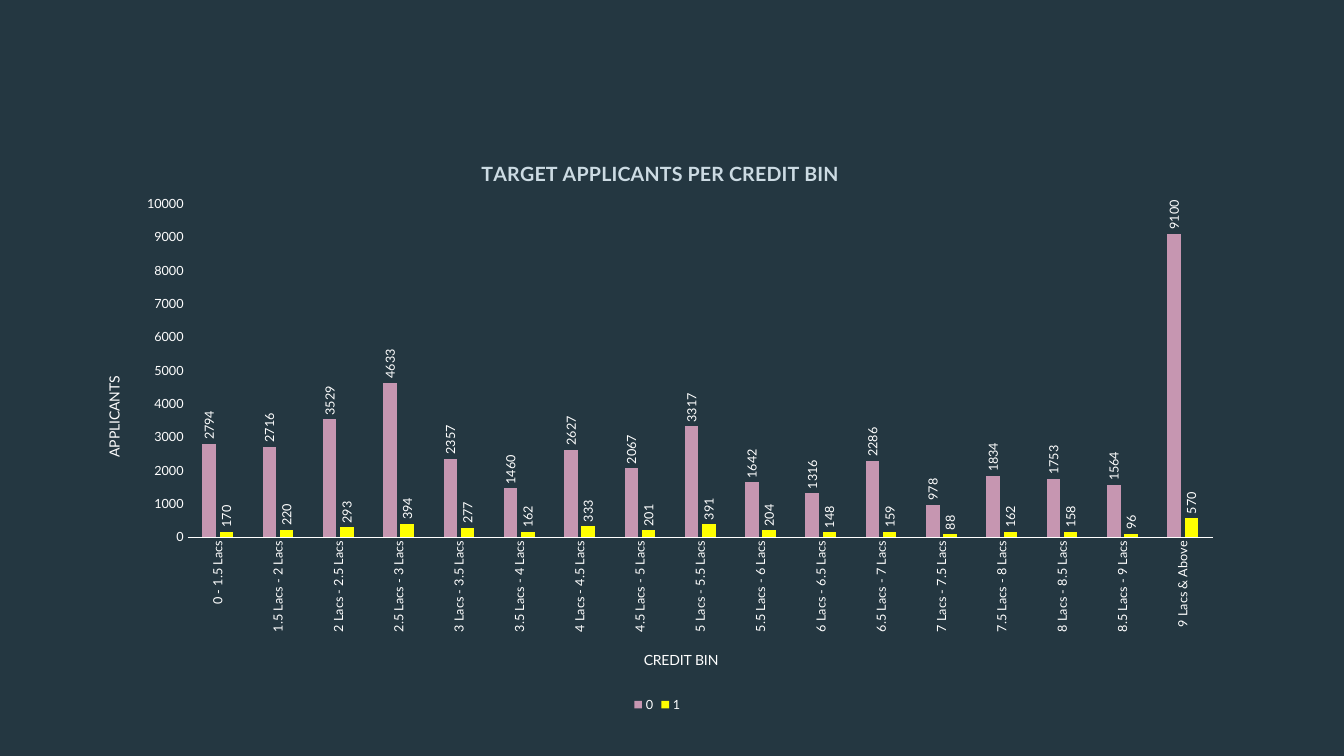
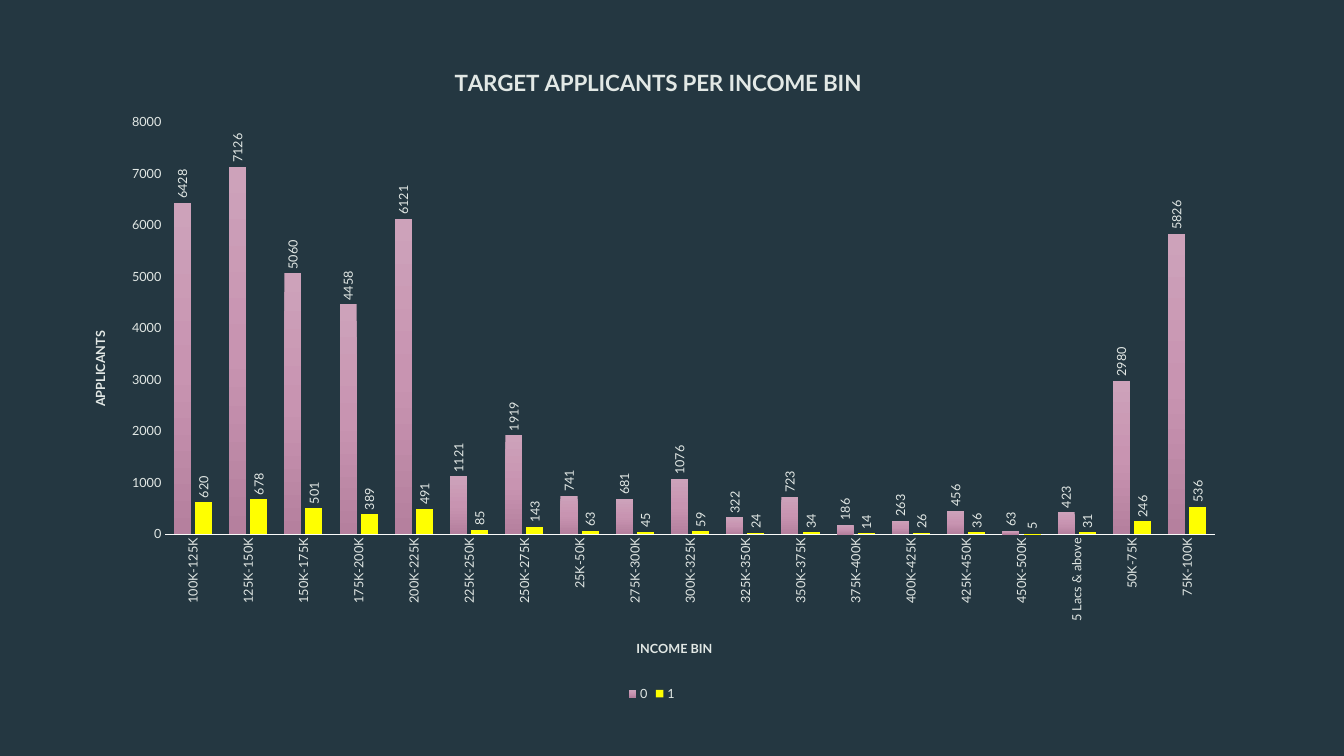
import copy

import lxml.etree
import pptx
import pptx.util
import pptx.chart.data
import pptx.dml.color
import pptx.enum.chart
import pptx.oxml.ns

RGB = pptx.dml.color.RGBColor
Inches = pptx.util.Inches
Pt = pptx.util.Pt
qn = pptx.oxml.ns.qn

# Shared look
BACK = RGB(0x24, 0x37, 0x41)
WHITE = RGB(0xFF, 0xFF, 0xFF)
PALE = RGB(0xE2, 0xE8, 0xE5)
MIST = RGB(0xCC, 0xDB, 0xE3)
FROST = RGB(0xFB, 0xFC, 0xFB)
PINK = RGB(0xC6, 0x96, 0xB1)
YELLOW = RGB(0xFF, 0xFF, 0x00)
SHADES = [RGB(0xCD, 0xA2, 0xBA), RGB(0xC8, 0x94, 0xB1), RGB(0xB5, 0x80, 0x9E)]
FACE = "Lato"


def style(font, size=9, color=WHITE, bold=False):
    font.name = FACE
    font.size = Pt(size)
    font.bold = bold
    font.color.rgb = color


def write(frame, text, **form):
    frame.text = text
    style(frame.paragraphs[0].runs[0].font, **form)


def turn(node):
    """Make the text in a chart part read upwards."""
    for body in node.iter(qn("a:bodyPr")):
        body.set("rot", "-5400000")
        body.set("vert", "horz")


def place(node, box, x, y, w=None, h=None):
    """Put a chart part at x, y inches from the corner of the chart box."""
    for old in node.findall(qn("c:layout")):
        node.remove(old)
    layout = lxml.etree.Element(qn("c:layout"))
    man = lxml.etree.SubElement(layout, qn("c:manualLayout"))
    parts = [("xMode", "edge"), ("yMode", "edge"),
             ("x", x / box[2]), ("y", y / box[3])]
    if w:
        parts.insert(0, ("layoutTarget", "inner"))
        parts += [("w", w / box[2]), ("h", h / box[3])]
    for name, val in parts:
        lxml.etree.SubElement(man, qn("c:" + name)).set("val", str(val))
    text = node.find(qn("c:tx"))
    node.insert(0 if text is None else 1, layout)


def blend(ser, shades):
    """Fill a series with evenly spaced shades from top to bottom."""
    fill = ser.format.fill
    fill.gradient()
    fill.gradient_angle = 270
    stops = next(ser._element.iter(qn("a:gsLst")))
    while len(stops) < len(shades):
        stops.append(copy.deepcopy(stops[0]))
    for i, (stop, shade) in enumerate(zip(fill.gradient_stops, shades)):
        stop.position = i / (len(shades) - 1)
        stop.color.rgb = shade


def name_axis(axis, text, box, spot, form):
    axis.has_title = True
    write(axis.axis_title.text_frame, text, **form)
    place(axis.axis_title._element, box, *spot)


def bar_slide(deck, box, title, bins, rows, spots, top, ink, line,
              head, name, gap, lap, fill):
    slide = deck.slides.add_slide(deck.slide_layouts[6])
    data = pptx.chart.data.CategoryChartData()
    data.categories = bins
    for key, row in zip("01", rows):
        data.add_series(key, row)
    kind = pptx.enum.chart.XL_CHART_TYPE.COLUMN_CLUSTERED
    chart = slide.shapes.add_chart(kind, *map(Inches, box), data).chart
    style(chart.font, size=10)

    # Title and plot area
    chart.has_title = True
    write(chart.chart_title.text_frame, title, **head)
    chart.chart_title.include_in_layout = False
    place(chart.chart_title._element, box, *spots["title"])
    place(chart._chartSpace.chart.plotArea, box, *spots["plot"])

    # Axes
    cat, val = chart.category_axis, chart.value_axis
    for axis in (cat, val):
        axis.has_major_gridlines = False
        axis.major_tick_mark = pptx.enum.chart.XL_TICK_MARK.NONE
        axis.minor_tick_mark = pptx.enum.chart.XL_TICK_MARK.NONE
        style(axis.tick_labels.font, color=ink)
    turn(cat._element.find(qn("c:txPr")))
    cat.format.line.color.rgb = line
    cat.format.line.width = Pt(0.75)
    val.format.line.fill.background()
    val.minimum_scale, val.maximum_scale, val.major_unit = 0, top, 1000
    name_axis(cat, "CREDIT BIN" if "CREDIT" in title else "INCOME BIN",
              box, spots["cat"], name)
    name_axis(val, "APPLICANTS", box, spots["val"], name)
    turn(val.axis_title._element)

    # Columns and their labels
    plot = chart.plots[0]
    plot.vary_by_categories = False
    plot.gap_width, plot.overlap = gap, lap
    for ser, paint in zip(plot.series, (fill, YELLOW)):
        if isinstance(paint, list):
            blend(ser, paint)
        else:
            ser.format.fill.solid()
            ser.format.fill.fore_color.rgb = paint
        ser.invert_if_negative = False
        labels = ser.data_labels
        labels.show_value = True
        labels.position = pptx.enum.chart.XL_LABEL_POSITION.OUTSIDE_END
        style(labels.font, color=ink)
        turn(labels._element)

    # Legend
    chart.has_legend = True
    chart.legend.position = pptx.enum.chart.XL_LEGEND_POSITION.BOTTOM
    chart.legend.include_in_layout = False
    style(chart.legend.font, color=ink)


def credit(deck):
    ends = ["1.5", "2", "2.5", "3", "3.5", "4", "4.5", "5", "5.5", "6",
            "6.5", "7", "7.5", "8", "8.5", "9"]
    bins = ["0 - 1.5 Lacs"]
    bins += [f"{a} Lacs - {b} Lacs" for a, b in zip(ends, ends[1:])]
    bins.append("9 Lacs & Above")
    rows = [
        [2794, 2716, 3529, 4633, 2357, 1460, 2627, 2067, 3317, 1642, 1316,
         2286, 978, 1834, 1753, 1564, 9100],
        [170, 220, 293, 394, 277, 162, 333, 201, 391, 204, 148, 159, 88,
         162, 158, 96, 570],
    ]
    spots = {"title": (3.95, 0.24), "plot": (1.07, 0.72, 10.17, 3.31),
             "cat": (5.57, 5.12), "val": (0.22, 2.41)}
    bar_slide(deck, (0.79, 1.3, 11.46, 5.81),
              "TARGET APPLICANTS PER CREDIT BIN", bins, rows, spots,
              top=10000, ink=WHITE, line=WHITE,
              head=dict(size=14, color=MIST, bold=True),
              name=dict(size=10), gap=219, lap=-27, fill=PINK)


def income(deck):
    bins = ["100K-125K", "125K-150K", "150K-175K", "175K-200K", "200K-225K",
            "225K-250K", "250K-275K", "25K-50K", "275K-300K", "300K-325K",
            "325K-350K", "350K-375K", "375K-400K", "400K-425K", "425K-450K",
            "450K-500K", "5 Lacs & above", "50K-75K", "75K-100K"]
    rows = [
        [6428, 7126, 5060, 4458, 6121, 1121, 1919, 741, 681, 1076, 322, 723,
         186, 263, 456, 63, 423, 2980, 5826],
        [620, 678, 501, 389, 491, 85, 143, 63, 45, 59, 24, 34, 14, 26, 36,
         5, 31, 246, 536],
    ]
    spots = {"title": (3.81, 0.2), "plot": (0.98, 0.79, 10.41, 4.09),
             "cat": (5.63, 5.9), "val": (0.22, 2.84)}
    bar_slide(deck, (0.66, 0.42, 11.61, 6.58),
              "TARGET APPLICANTS PER INCOME BIN", bins, rows, spots,
              top=8000, ink=PALE, line=FROST,
              head=dict(size=16, color=PALE, bold=True),
              name=dict(size=9, color=PALE, bold=True),
              gap=100, lap=-24, fill=SHADES)


def main():
    deck = pptx.Presentation()
    deck.slide_width, deck.slide_height = Inches(13.33), Inches(7.5)
    back = deck.slide_master.background.fill
    back.solid()
    back.fore_color.rgb = BACK
    credit(deck)
    income(deck)
    deck.save("out.pptx")


if __name__ == "__main__":
    main()
